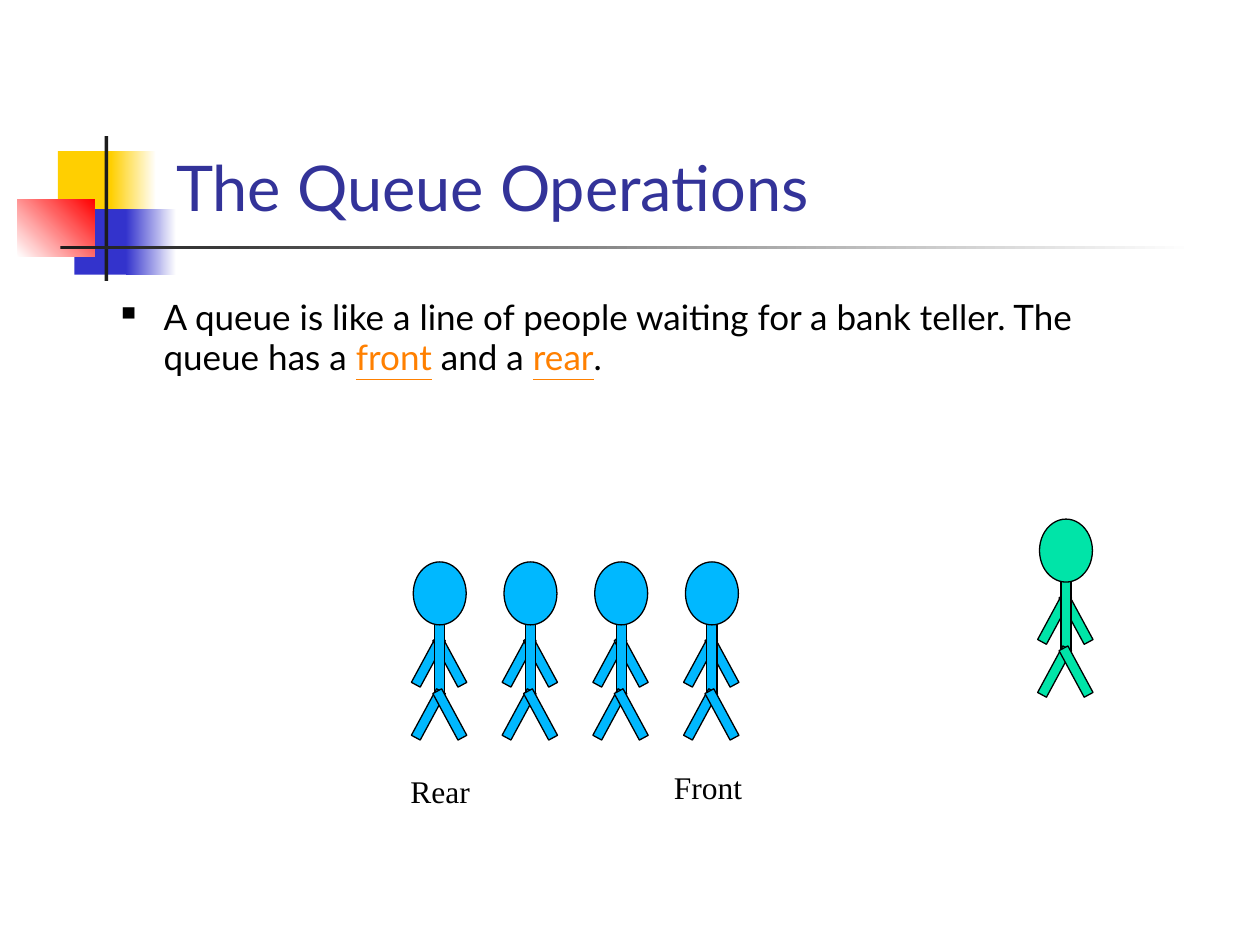
from typing import NamedTuple, Optional

from lxml import etree
from pptx import Presentation, util as u
from pptx.dml.color import RGBColor
from pptx.enum import shapes, text
from pptx.oxml.ns import qn


class Theme:
    YELLOW, BLUE, RED, DARK, WHITE = "FFCF01", "3333CC", "FF0000", "1C1C1C", "FFFFFF"
    TITLE, TEXT, ACCENT = "333399", "000000", "FF8000"
    CUSTOMER, TELLER = "00B8FF", "00E4A8"
    SANS, SERIF = "Lato", "Times New Roman"
    TITLE_SIZE, BODY_SIZE, LABEL_SIZE = 36, 20, 18
    LINE_SPACING, OUTLINE = 0.95, 0.75


class Box(NamedTuple):
    x: float
    y: float
    w: float
    h: float


class Block(NamedTuple):
    box: Box
    color: str
    fade_to: Optional[str] = None
    angle: float = 0


class Part(NamedTuple):
    box: Box  # relative to the figure's top left corner
    rotation: float = 0
    kind: shapes.MSO_SHAPE = shapes.MSO_SHAPE.RECTANGLE


class Person(NamedTuple):
    x: float
    y: float
    color: str


class Label(NamedTuple):
    box: Box
    words: str


LEAN = 28.4
BLOCKS = [
    Block(Box(0.46, 1.2, 0.48, 0.52), Theme.YELLOW),
    Block(Box(0.88, 1.2, 0.36, 0.52), Theme.YELLOW, Theme.WHITE),
    Block(Box(0.59, 1.66, 0.46, 0.52), Theme.BLUE),
    Block(Box(1, 1.66, 0.4, 0.52), Theme.BLUE, Theme.WHITE),
    Block(Box(0.14, 1.58, 0.61, 0.46), Theme.WHITE, Theme.RED, 45),
    Block(Box(0.83, 1.08, 0.03, 1.15), Theme.DARK),
    Block(Box(0.48, 1.95, 9, 0.03), Theme.DARK, Theme.WHITE),
]


def limbs(y: float) -> list[Part]:
    return [Part(Box(0.08, y, 0.08, 0.42), LEAN),
            Part(Box(0.25, y, 0.08, 0.42), -LEAN)]


BODY_PARTS = [
    *limbs(0.58),  # arms
    Part(Box(0.17, 0.41, 0.08, 0.67)),  # torso
    Part(Box(0, 0, 0.42, 0.5), kind=shapes.MSO_SHAPE.OVAL),  # head
    *limbs(1),  # legs
]
PEOPLE = [Person(3.28 + 0.72 * i, 4.46, Theme.CUSTOMER) for i in range(4)]
PEOPLE.append(Person(8.25, 4.12, Theme.TELLER))
LABELS = [Label(Box(3.16, 6.1, 0.67, 0.38), "Rear"),
          Label(Box(5.25, 6.07, 0.74, 0.38), "Front")]


def rgb(color: str) -> RGBColor:
    return RGBColor.from_string(color)


def place(box: Box) -> list[int]:
    return [u.Inches(v) for v in box]


def set_format(obj, **values) -> None:
    for name, value in values.items():
        setattr(obj, name, value)


def draw_block(s, block: Block) -> None:
    sp = s.shapes.add_shape(shapes.MSO_SHAPE.RECTANGLE, *place(block.box))
    sp.shadow.inherit = False
    sp.line.fill.background()
    if block.fade_to:
        sp.fill.gradient()
        sp.fill.gradient_angle = block.angle
        for stop, color in zip(sp.fill.gradient_stops, (block.color, block.fade_to)):
            stop.color.rgb = rgb(color)
    else:
        sp.fill.solid()
        sp.fill.fore_color.rgb = rgb(block.color)


def draw_person(s, person: Person) -> None:
    group = s.shapes.add_group_shape()
    for part in BODY_PARTS:
        box = part.box._replace(x=person.x + part.box.x, y=person.y + part.box.y)
        sp = group.shapes.add_shape(part.kind, *place(box))
        sp.shadow.inherit = False
        sp.rotation = part.rotation
        sp.fill.solid()
        sp.fill.fore_color.rgb = rgb(person.color)
        sp.line.color.rgb = rgb(Theme.TEXT)
        sp.line.width = u.Pt(Theme.OUTLINE)


def add_text(s, box: Box, runs: list[tuple[str, str]], font: str, size: float, **frame):
    tf = s.shapes.add_textbox(*place(box)).text_frame
    set_format(tf, **{"word_wrap": True, **frame})
    p = tf.paragraphs[0]
    p.line_spacing = Theme.LINE_SPACING
    for words, color in runs:
        r = p.add_run()
        r.text = words
        set_format(r.font, name=font, size=u.Pt(size), underline=color == Theme.ACCENT)
        r.font.color.rgb = rgb(color)
    return p


def add_bullet(p, char: str, indent: float) -> None:
    pPr = p._p.get_or_add_pPr()
    pPr.set("marL", str(u.Inches(indent)))
    pPr.set("indent", str(-u.Inches(indent)))
    etree.SubElement(pPr, qn("a:buChar")).set("char", char)


def main() -> None:
    prs = Presentation()
    set_format(prs, slide_width=u.Inches(10), slide_height=u.Inches(7.5))
    s = prs.slides.add_slide(prs.slide_layouts[6])

    # Corner ornament and rule
    for block in BLOCKS:
        draw_block(s, block)

    # Title and body
    add_text(s, Box(1.3, 1.03, 8.14, 0.96), [("The Queue Operations", Theme.TITLE)],
             Theme.SANS, Theme.TITLE_SIZE, vertical_anchor=text.MSO_ANCHOR.MIDDLE)
    body = [
        ("A queue is like a line of people waiting for a bank teller. The queue has a ",
         Theme.TEXT),
        ("front", Theme.ACCENT),
        (" and a ", Theme.TEXT),
        ("rear", Theme.ACCENT),
        (".", Theme.TEXT),
    ]
    p = add_text(s, Box(0.82, 2.32, 7.93, 3.88), body, Theme.SANS, Theme.BODY_SIZE)
    add_bullet(p, "▪", 0.38)

    # Queue of customers and the teller
    for person in PEOPLE:
        draw_person(s, person)
    for label in LABELS:
        add_text(s, label.box, [(label.words, Theme.TEXT)], Theme.SERIF, Theme.LABEL_SIZE,
                 word_wrap=False, auto_size=text.MSO_AUTO_SIZE.SHAPE_TO_FIT_TEXT)

    prs.save("out.pptx")


if __name__ == "__main__":
    main()
